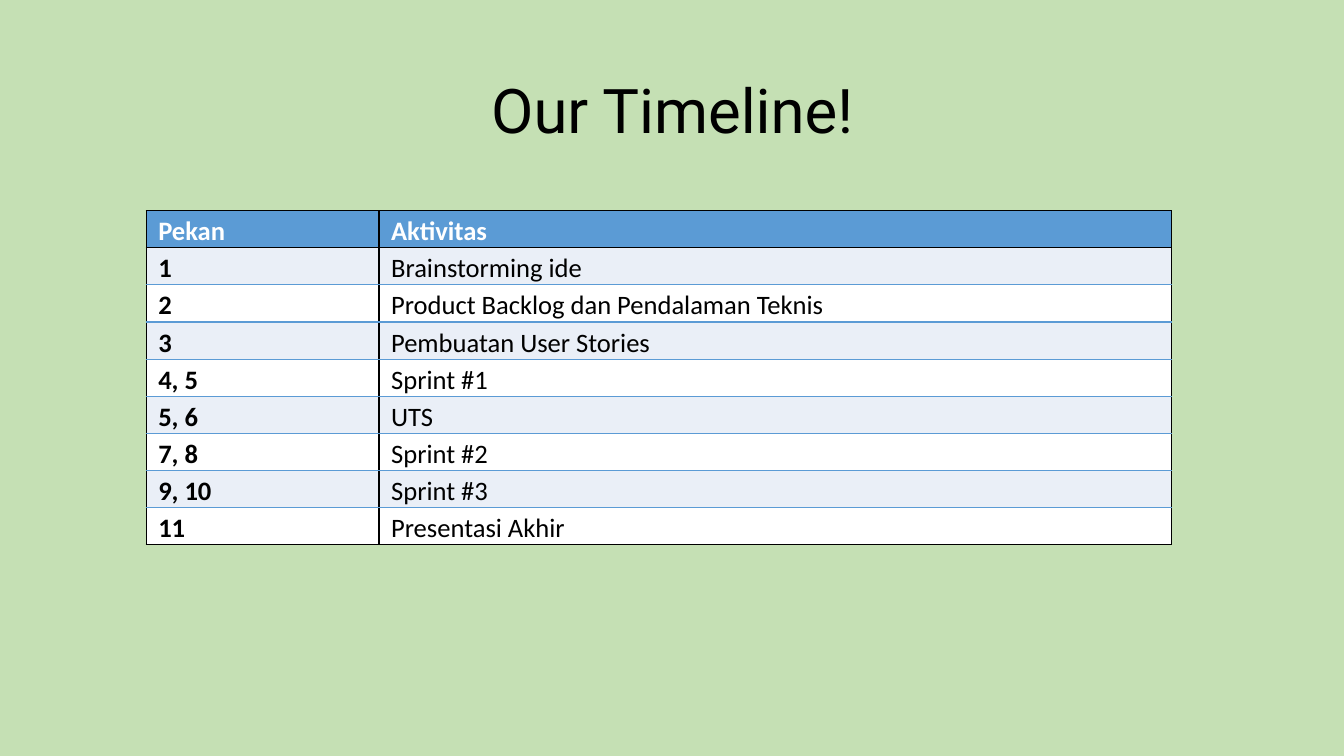
from lxml.etree import SubElement
from pptx import Presentation
from pptx.dml.color import RGBColor
from pptx.enum.text import MSO_ANCHOR, MSO_AUTO_SIZE, PP_ALIGN
from pptx.oxml.ns import qn
from pptx.util import Inches, Pt

COLORS = {
    "background": "C5E0B4",
    "black": "000000",
    "white": "FFFFFF",
    "blue": "5B9BD5",
    "band": "EAEFF7",
}

TIMELINE = [
    ("Pekan", "Aktivitas"),
    ("1", "Brainstorming ide"),
    ("2", "Product Backlog dan Pendalaman Teknis"),
    ("3", "Pembuatan User Stories"),
    ("4, 5", "Sprint #1"),
    ("5, 6", "UTS"),
    ("7, 8", "Sprint #2"),
    ("9, 10", "Sprint #3"),
    ("11", "Presentasi Akhir"),
]


def color(name):
    return RGBColor.from_string(COLORS[name])


def write_text(frame, text, *, font, size, ink="black", bold=False,
               align=PP_ALIGN.LEFT, spacing=1.0):
    para = frame.paragraphs[0]
    para.alignment = align
    para.line_spacing = spacing
    span = para.add_run()
    span.text = text
    span.font.name = font
    span.font.size = Pt(size)
    span.font.bold = bold
    span.font.color.rgb = color(ink)


def set_borders(cell, top, bottom):
    properties = cell._tc.get_or_add_tcPr()
    sides = {"L": "black", "R": "black", "T": top, "B": bottom}
    for index, (side, name) in enumerate(sides.items()):
        line = SubElement(properties, qn(f"a:ln{side}"), w=str(Pt(1)))
        fill = SubElement(line, qn("a:solidFill"))
        SubElement(fill, qn("a:srgbClr"), val=COLORS[name])
        properties.insert(index, line)


class TimelineSlide:
    title_font = "Roboto"
    body_font = "Calibri"

    def __init__(self, deck):
        self.page = deck.slides.add_slide(deck.slide_layouts[5])
        background = self.page.background.fill
        background.solid()
        background.fore_color.rgb = color("background")

    def title(self, text, left, top, width, height):
        box = self.page.shapes.title
        box.left, box.top = Inches(left), Inches(top)
        box.width, box.height = Inches(width), Inches(height)
        frame = box.text_frame
        frame.word_wrap = True
        frame.auto_size = MSO_AUTO_SIZE.NONE
        frame.vertical_anchor = MSO_ANCHOR.MIDDLE
        write_text(frame, text, font=self.title_font, size=44,
                   align=PP_ALIGN.CENTER, spacing=0.9)

    def table(self, rows, left, top, widths, row_height):
        table = self.page.shapes.add_table(
            len(rows), len(widths), Inches(left), Inches(top),
            Inches(sum(widths)), Inches(row_height * len(rows))).table
        for column, width in zip(table.columns, widths):
            column.width = Inches(width)
        for row_index, row in enumerate(rows):
            table.rows[row_index].height = Inches(row_height)
            for column_index, text in enumerate(row):
                self.cell(table.cell(row_index, column_index), text,
                          row_index, column_index, len(rows) - 1)

    def cell(self, cell, text, row, column, last_row):
        header = row == 0
        cell.margin_left = cell.margin_right = Inches(0.12)
        cell.margin_top = cell.margin_bottom = 0
        cell.fill.solid()
        shade = "blue" if header else "band" if row % 2 else "white"
        cell.fill.fore_color.rgb = color(shade)
        set_borders(cell, top="black" if row <= 1 else "blue",
                    bottom="black" if row in (0, last_row) else "blue")
        write_text(cell.text_frame, text, font=self.body_font, size=19,
                   ink="white" if header else "black",
                   bold=header or column == 0,
                   align=PP_ALIGN.JUSTIFY, spacing=1.15)


def main():
    deck = Presentation()
    deck.slide_width, deck.slide_height = Inches(13.33), Inches(7.5)
    slide = TimelineSlide(deck)
    slide.title("Our Timeline!", 0.92, 0.4, 11.5, 1.45)
    slide.table(TIMELINE, 1.45, 2.09, (2.31, 7.86), 0.34)
    deck.save("out.pptx")


if __name__ == "__main__":
    main()
